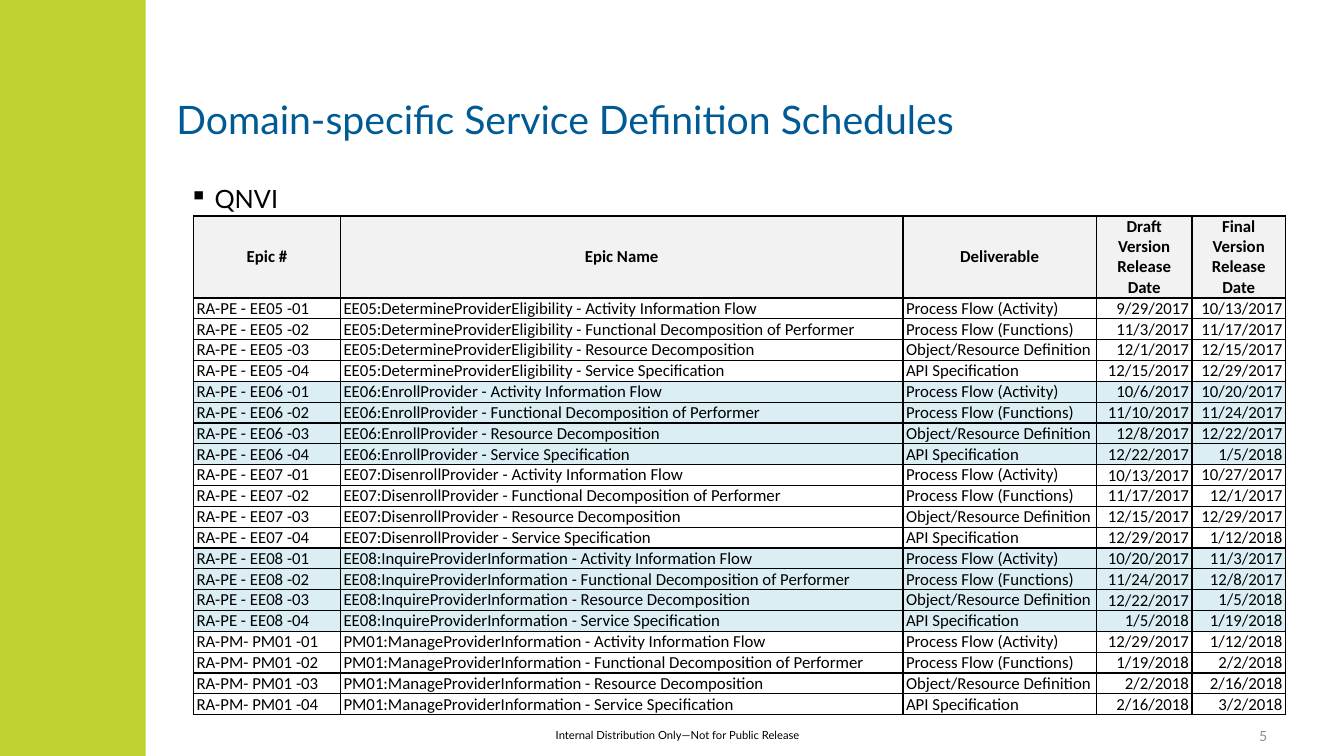
from dataclasses import dataclass

from lxml import etree
from pptx import Presentation
from pptx.dml.color import RGBColor
from pptx.enum.shapes import MSO_SHAPE
from pptx.enum.text import MSO_ANCHOR, PP_ALIGN
from pptx.oxml.ns import qn
from pptx.slide import Slide
from pptx.table import _Cell
from pptx.text.text import TextFrame, _Paragraph
from pptx.util import Pt

LEFT, CENTER, RIGHT = PP_ALIGN.LEFT, PP_ALIGN.CENTER, PP_ALIGN.RIGHT
TOP, MIDDLE, BOTTOM = MSO_ANCHOR.TOP, MSO_ANCHOR.MIDDLE, MSO_ANCHOR.BOTTOM
RECTANGLE = MSO_SHAPE.RECTANGLE

BLACK = RGBColor(0x00, 0x00, 0x00)
WHITE = RGBColor(0xFF, 0xFF, 0xFF)
LIME = RGBColor(0xBE, 0xD1, 0x31)
BLUE = RGBColor(0x00, 0x5B, 0x94)
GRAY = RGBColor(0x8C, 0x8C, 0x8C)
HEADER_FILL = RGBColor(0xF2, 0xF2, 0xF2)
BAND_FILL = RGBColor(0xDA, 0xEE, 0xF3)


@dataclass(frozen=True)
class Box:
    left: float
    top: float
    width: float
    height: float

    def lengths(self) -> tuple[Pt, Pt, Pt, Pt]:
        return Pt(self.left), Pt(self.top), Pt(self.width), Pt(self.height)


@dataclass(frozen=True)
class TextStyle:
    size: float
    color: RGBColor = BLACK
    align: PP_ALIGN = LEFT
    font: str = "Lato"
    bold: bool = False


@dataclass(frozen=True)
class Epic:
    prefix: str
    code: str
    name: str
    drafts: str
    finals: str
    fill: RGBColor | None = None
    draft_anchor: MSO_ANCHOR = BOTTOM


HEADERS = ("Epic #", "Epic Name", "Deliverable",
           "Draft Version Release Date", "Final Version Release Date")
COLUMN_WIDTHS = (105, 401.8, 138.2, 68.3, 66.8)
COLUMN_ALIGNS = (LEFT, LEFT, LEFT, RIGHT, RIGHT)
HEADER_HEIGHT, ROW_HEIGHT = 58.6, 14.9
DRAFT_COLUMN = 3

# Every epic has the same four stages, each with its deliverable
STAGES = (
    ("Activity Information Flow", "Process Flow (Activity)"),
    ("Functional Decomposition of Performer", "Process Flow (Functions)"),
    ("Resource Decomposition", "Object/Resource Definition"),
    ("Service Specification", "API Specification"),
)
EPICS = (
    Epic("RA-PE -", "EE05", "DetermineProviderEligibility",
         "9/29/2017 11/3/2017 12/1/2017 12/15/2017",
         "10/13/2017 11/17/2017 12/15/2017 12/29/2017", draft_anchor=MIDDLE),
    Epic("RA-PE -", "EE06", "EnrollProvider",
         "10/6/2017 11/10/2017 12/8/2017 12/22/2017",
         "10/20/2017 11/24/2017 12/22/2017 1/5/2018", BAND_FILL),
    Epic("RA-PE -", "EE07", "DisenrollProvider",
         "10/13/2017 11/17/2017 12/15/2017 12/29/2017",
         "10/27/2017 12/1/2017 12/29/2017 1/12/2018"),
    Epic("RA-PE -", "EE08", "InquireProviderInformation",
         "10/20/2017 11/24/2017 12/22/2017 1/5/2018",
         "11/3/2017 12/8/2017 1/5/2018 1/19/2018", BAND_FILL),
    Epic("RA-PM-", "PM01", "ManageProviderInformation",
         "12/29/2017 1/19/2018 2/2/2018 2/16/2018",
         "1/12/2018 2/2/2018 2/16/2018 3/2/2018", draft_anchor=MIDDLE),
)


def write(tf: TextFrame, text: str, style: TextStyle,
          anchor: MSO_ANCHOR) -> _Paragraph:
    tf.word_wrap = True
    tf.vertical_anchor = anchor
    p = tf.paragraphs[0]
    p.text = text
    p.alignment = style.align
    p.font.name = style.font
    p.font.size = Pt(style.size)
    p.font.bold = style.bold
    p.font.color.rgb = style.color
    return p


def add_text(slide: Slide, box: Box, text: str, style: TextStyle,
             anchor: MSO_ANCHOR, fill: RGBColor | None = None) -> _Paragraph:
    sp = slide.shapes.add_textbox(*box.lengths())
    if fill is not None:
        sp.fill.solid()
        sp.fill.fore_color.rgb = fill
    return write(sp.text_frame, text, style, anchor)


def set_bullet(p: _Paragraph, char: str, margin: float, indent: float) -> None:
    pPr = p._p.get_or_add_pPr()
    pPr.set("marL", str(Pt(margin)))
    pPr.set("indent", str(Pt(indent)))
    bullet = etree.Element(qn("a:buChar"), char=char)
    pPr.insert_element_before(bullet, "a:tabLst", "a:defRPr", "a:extLst")


def set_borders(cell: _Cell, width: float, color: RGBColor) -> None:
    tcPr = cell._tc.get_or_add_tcPr()
    for side in ("lnL", "lnR", "lnT", "lnB"):
        ln = etree.SubElement(tcPr, qn(f"a:{side}"), w=str(Pt(width)))
        fill = etree.SubElement(ln, qn("a:solidFill"))
        etree.SubElement(fill, qn("a:srgbClr"), val=str(color))


def fill_cell(cell: _Cell, text: str, style: TextStyle, fill: RGBColor | None,
              anchor: MSO_ANCHOR = MIDDLE) -> None:
    set_borders(cell, 1, BLACK)
    if fill is None:
        cell.fill.background()
    else:
        cell.fill.solid()
        cell.fill.fore_color.rgb = fill
    cell.margin_left = cell.margin_right = Pt(2.2)
    cell.margin_top = cell.margin_bottom = 0
    write(cell.text_frame, text, style, MIDDLE)
    cell.vertical_anchor = anchor


def add_schedule(slide: Slide, left: float, top: float) -> None:
    row_count = 1 + len(EPICS) * len(STAGES)
    box = Box(left, top, sum(COLUMN_WIDTHS),
              HEADER_HEIGHT + (row_count - 1) * ROW_HEIGHT)
    table = slide.shapes.add_table(row_count, len(HEADERS), *box.lengths()).table
    table.first_row = table.horz_banding = False
    for column, width in zip(table.columns, COLUMN_WIDTHS):
        column.width = Pt(width)
    for i, row in enumerate(table.rows):
        row.height = Pt(ROW_HEIGHT if i else HEADER_HEIGHT)

    header = TextStyle(12, align=CENTER, font="Calibri", bold=True)
    for c, text in enumerate(HEADERS):
        fill_cell(table.cell(0, c), text, header, HEADER_FILL)

    r = 1
    for epic in EPICS:
        dates = zip(epic.drafts.split(), epic.finals.split())
        for n, ((stage, deliverable), (draft, final)) in enumerate(zip(STAGES, dates), 1):
            values = (f"{epic.prefix} {epic.code} -{n:02}",
                      f"{epic.code}:{epic.name} - {stage}",
                      deliverable, draft, final)
            for c, (text, align) in enumerate(zip(values, COLUMN_ALIGNS)):
                anchor = epic.draft_anchor if c == DRAFT_COLUMN else MIDDLE
                fill_cell(table.cell(r, c), text,
                          TextStyle(12, align=align, font="Calibri"), epic.fill, anchor)
            r += 1


def main() -> None:
    prs = Presentation()
    prs.slide_width, prs.slide_height = Pt(960), Pt(540)
    slide = prs.slides.add_slide(prs.slide_layouts[5])

    # Side band
    band = slide.shapes.add_shape(RECTANGLE, *Box(0, 0, 104, 540).lengths())
    band.shadow.inherit = False
    band.fill.solid()
    band.fill.fore_color.rgb = LIME
    band.line.fill.background()

    # Title
    title = slide.shapes.title
    title.left, title.top, title.width, title.height = Box(118.8, 56.9, 784, 56.2).lengths()
    write(title.text_frame, "Domain-specific Service Definition Schedules",
          TextStyle(28, BLUE), MIDDLE)

    # Bullet above the schedule
    p = add_text(slide, Box(118.8, 123.1, 784, 359.3), "QNVI",
                 TextStyle(18), TOP, WHITE)
    p.line_spacing = 1.2
    p.space_after = Pt(6)
    set_bullet(p, "▪", 27.4, -18)

    # Schedule table
    add_schedule(slide, 138.2, 154.3)

    # Footer and slide number
    add_text(slide, Box(337.7, 517, 293, 17.3),
             "Internal Distribution Only—Not for Public Release",
             TextStyle(8, align=CENTER), TOP)
    add_text(slide, Box(720, 511.2, 192.2, 28.8), "5",
             TextStyle(10, GRAY, RIGHT), MIDDLE)

    prs.save("out.pptx")


if __name__ == "__main__":
    main()
